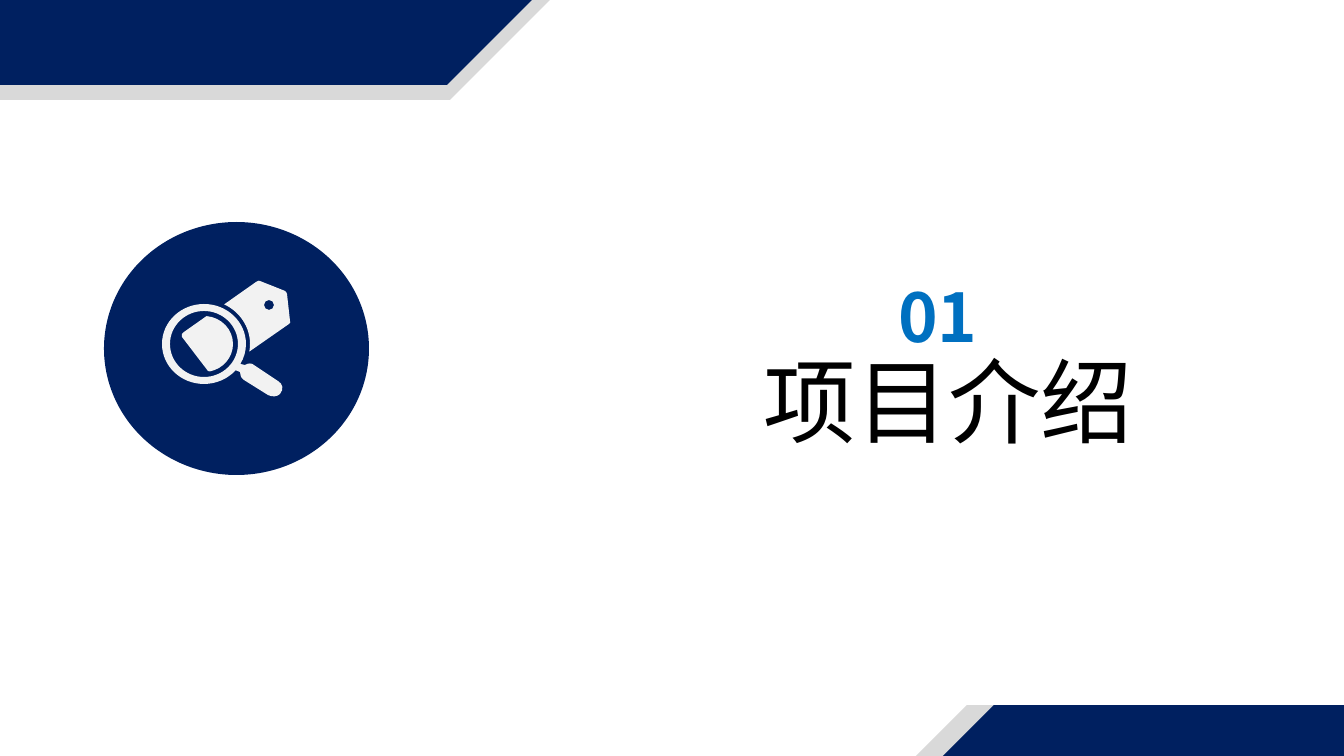
from math import cos, radians, sin, tan

from lxml.etree import SubElement
from pptx import Presentation
from pptx.dml.color import RGBColor
from pptx.enum.lang import MSO_LANGUAGE_ID as Language
from pptx.enum.shapes import MSO_SHAPE as Shape
from pptx.enum.text import MSO_AUTO_SIZE as AutoSize, PP_ALIGN as Align
from pptx.oxml.ns import qn
from pptx.util import Pt

PX = 914400 / 100.8  # EMU in one px

NAVY = RGBColor(0x00, 0x20, 0x60)
BLUE = RGBColor(0x00, 0x70, 0xC0)
BLACK = RGBColor(0x00, 0x00, 0x00)
GREY = RGBColor(0xD9, 0xD9, 0xD9)
PALE = RGBColor(0xF2, 0xF2, 0xF2)


def emu(length):
    return round(length * PX)


def arc(center, radii, start, end):
    """Ellipse arc as a start point and Bezier curves, cut at each quarter.

    Angles are in degrees, clockwise from the right.
    """
    def spot(angle, pull=0):
        a = radians(angle)
        return (center[0] + radii[0] * (cos(a) - pull * sin(a)),
                center[1] + radii[1] * (sin(a) + pull * cos(a)))

    quarters = [q for q in range(-360, 720, 90) if start < q < end]
    cuts = [start, *quarters, end]
    segments = [[spot(start)]]
    for a, b in zip(cuts, cuts[1:]):
        pull = 4 / 3 * tan(radians(b - a) / 4)
        segments.append([spot(a, pull), spot(b, -pull), spot(b)])
    return segments


class SlidePainter:
    def __init__(self, deck):
        self.slide = deck.slides.add_slide(deck.slide_layouts[6])
        self.shapes = self.slide.shapes

    def paint(self, shape, color):
        shape.shadow.inherit = False
        shape.fill.solid()
        shape.fill.fore_color.rgb = color
        shape.line.fill.background()
        return shape

    def preset(self, kind, left, top, width, height, color):
        frame = map(emu, (left, top, width, height))
        return self.paint(self.shapes.add_shape(kind, *frame), color)

    def outline(self, contours, color):
        """Contours are lists of segments: one point for a line, three for a curve."""
        builder = None
        for contour in contours:
            start, *ends = [tuple(map(emu, segment[-1])) for segment in contour]
            if builder is None:
                builder = self.shapes.build_freeform(*start, scale=1.0)
            else:
                builder.move_to(*start)
            builder.add_line_segments(ends, close=True)
        shape = builder.convert_to_shape()
        # Bend the lines that stand for curves
        segments = [segment for contour in contours for segment in contour[1:]]
        for line, segment in zip(list(shape.element.iter(qn("a:lnTo"))), segments):
            if len(segment) == 3:
                curve = line.makeelement(qn("a:cubicBezTo"))
                for x, y in segment:
                    SubElement(curve, qn("a:pt"), x=str(emu(x) - shape.left),
                               y=str(emu(y) - shape.top))
                line.getparent().replace(line, curve)
        return self.paint(shape, color)

    def text(self, text, left, top, width, height, *, font, size, color,
             bold=False, side=10):
        box = self.shapes.add_textbox(*map(emu, (left, top, width, height)))
        frame = box.text_frame
        frame.word_wrap = True
        frame.auto_size = AutoSize.SHAPE_TO_FIT_TEXT
        frame.margin_left = frame.margin_right = emu(side)
        para = frame.paragraphs[0]
        para.alignment = Align.CENTER
        span = para.add_run()
        span.text = text
        span.font.name = font
        span.font.size = Pt(size)
        span.font.bold = bold
        span.font.color.rgb = color
        span.font.language_id = Language.SIMPLIFIED_CHINESE
        return box


def main():
    deck = Presentation()
    deck.slide_width, deck.slide_height = emu(1344), emu(756)
    painter = SlidePainter(deck)

    # Corner bands, each navy over a grey edge
    for left, top, color in ((-194, -3, GREY), (-197, -18, NAVY),
                             (864, 705, GREY), (891, 705, NAVY)):
        band = painter.preset(Shape.PARALLELOGRAM, left, top, 747, 103, color)
        band.adjustments[0] = 1

    # Section title and number
    painter.text("项目介绍", 694, 339, 509, 122, font="Calibri", size=66,
                 color=BLACK, side=9)
    painter.text("01", 636, 270, 604, 92, font="Noto Sans CJK SC", size=48,
                 color=BLUE, bold=True)

    # Icon disc
    painter.preset(Shape.OVAL, 104, 222, 265, 253, NAVY)

    # Price tag: the part beyond the lens, then the part seen through it
    lens = (204, 344)
    tag = arc(lens, (46, 44), -64, 10) + [
        [(289, 324)], [(290, 323), (291, 322), (290, 321)],
        [(287, 294)], [(287, 293), (286, 292), (285, 291)],
        [(260, 281)], [(259, 280), (258, 281), (256, 282)]]
    painter.outline([tag, arc((269, 305), (5, 5), 0, 360)], PALE)
    painter.outline([arc(lens, (29, 28), -85, 78) + [
        [(208, 371)], [(182, 337)], [(181, 335), (182, 333), (184, 332)]]], PALE)

    # Magnifying glass: rim and handle, with the lens cut out
    handle = [[(245, 365)], [(248, 363), (252, 363), (254, 365)],
              [(278, 381)], [(283, 384), (284, 389), (280, 394)],
              [(277, 397), (272, 397), (268, 395)],
              [(244, 380)], [(241, 378), (240, 375), (240, 372)]]
    painter.outline([arc(lens, (42, 40), 41, 390) + handle,
                     arc(lens, (34, 33), 0, 360)], PALE)

    deck.save("out.pptx")


if __name__ == "__main__":
    main()
